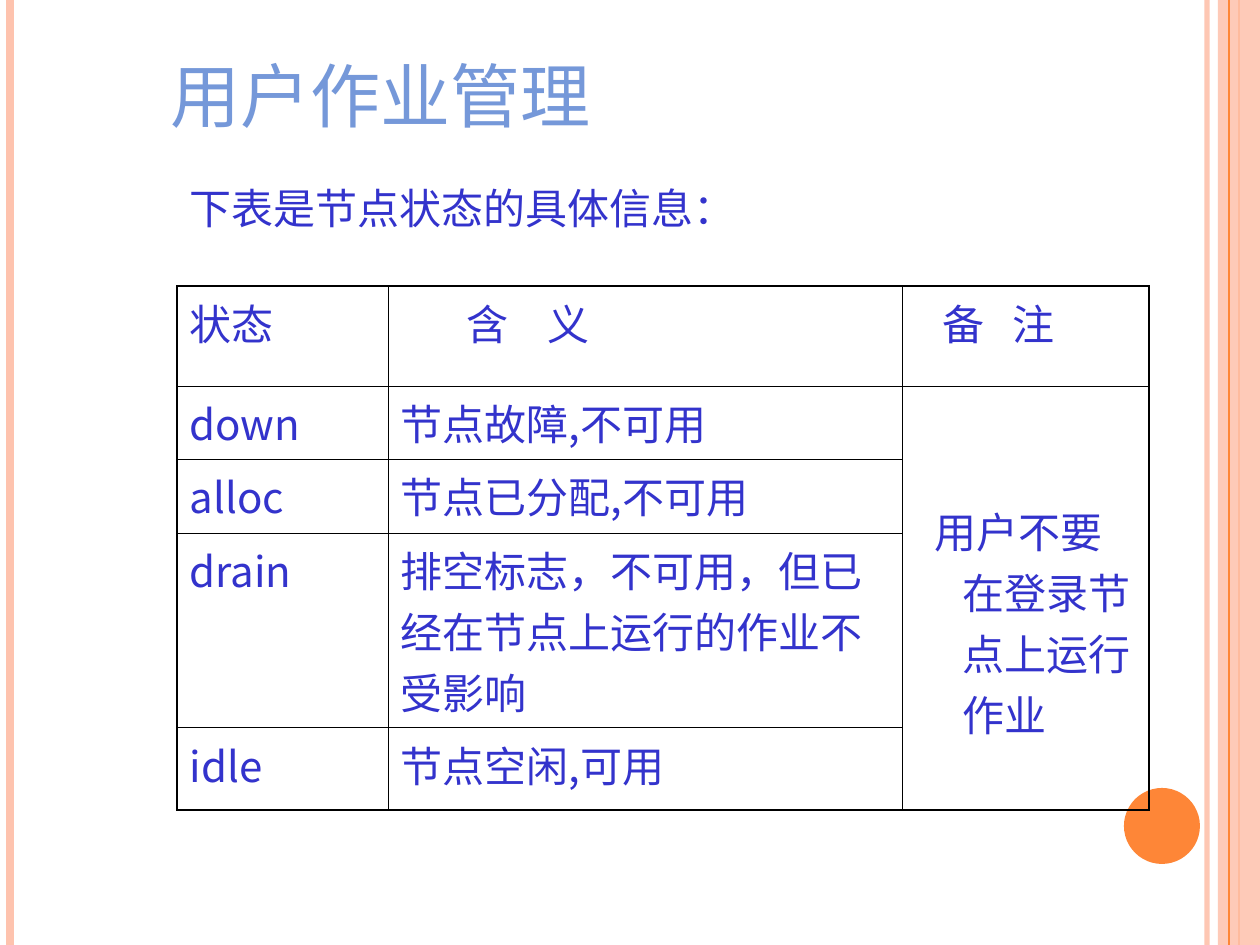
from lxml import etree
from pptx import Presentation
from pptx.dml.color import RGBColor
from pptx.enum.shapes import MSO_CONNECTOR, MSO_SHAPE
from pptx.enum.text import MSO_ANCHOR
from pptx.oxml.ns import qn
from pptx.util import Emu, Pt

STRAIGHT = MSO_CONNECTOR.STRAIGHT
RECT, OVAL = MSO_SHAPE.RECTANGLE, MSO_SHAPE.OVAL
TOP, BOTTOM = MSO_ANCHOR.TOP, MSO_ANCHOR.BOTTOM

CJK = "Noto Sans CJK SC"
ORANGE, PEACH, BLUE, TITLE_BLUE = "FE8637", "FEC3AE", "3333CC", "7598D9"


def px(n):
    return Emu(round(n * 914400 / 126))


def rgb(value):
    return RGBColor.from_string(value)


def add_alpha(fill_parent, percent):
    color = fill_parent.find(".//" + qn("a:srgbClr"))
    etree.SubElement(color, qn("a:alpha"), val=str(percent * 1000))


class Deck:
    size = 24
    font = CJK
    color = BLUE
    outer, inner = 0.96, 0.45

    def __init__(self, width, height):
        self.prs = Presentation()
        self.prs.slide_width, self.prs.slide_height = px(width), px(height)
        self.s = self.prs.slides.add_slide(self.prs.slide_layouts[6])

    def line(self, x, width, color, alpha=100):
        c = self.s.shapes.add_connector(STRAIGHT, px(x), 0, px(x), self.prs.slide_height)
        c.line.color.rgb = rgb(color)
        c.line.width = Pt(width)
        pr = c.line._get_or_add_ln().getparent()
        if alpha < 100:
            add_alpha(pr, alpha)
        etree.SubElement(pr, qn("a:effectLst"))

    def shape(self, kind, x, y, w, h, color, alpha=100):
        sp = self.s.shapes.add_shape(kind, px(x), px(y), px(w), px(h))
        sp.shadow.inherit = False
        sp.fill.solid()
        sp.fill.fore_color.rgb = rgb(color)
        sp.line.fill.background()
        if alpha < 100:
            add_alpha(sp._element.spPr, alpha)

    def run(self, p, text, size=None, font=None, color=None):
        r = p.add_run()
        r.text = text
        r.font.size = Pt(size or self.size)
        r.font.name = font or self.font
        r.font.color.rgb = rgb(color or self.color)
        etree.SubElement(r.font._element, qn("a:ea"), typeface=CJK)

    def text(self, x, y, w, h, text, anchor=TOP, **style):
        tf = self.s.shapes.add_textbox(px(x), px(y), px(w), px(h)).text_frame
        tf.word_wrap = True
        tf.vertical_anchor = anchor
        p = tf.paragraphs[0]
        self.run(p, text, **style)
        return p

    def table(self, x, y, cols, rows):
        t = self.s.shapes.add_table(len(rows), len(cols), px(x), px(y),
                                    px(sum(cols)), px(sum(rows))).table
        t.first_row = t.horz_banding = False
        for col, w in zip(t.columns, cols):
            col.width = px(w)
        for row, h in zip(t.rows, rows):
            row.height = px(h)
        return t

    def cell(self, cell, runs, margin=0, indent=0, top=6):
        cell.margin_top = px(top)
        p = cell.text_frame.paragraphs[0]
        pr = p._p.get_or_add_pPr()
        pr.set("marL", str(px(margin)))
        pr.set("indent", str(px(indent)))
        for text, size in runs:
            self.run(p, text, size)

    def borders(self, t):
        last_row, last_col = len(t.rows) - 1, len(t.columns) - 1
        for i, row in enumerate(t.rows):
            for j, cell in enumerate(row.cells):
                if cell.is_spanned:
                    continue
                bottom = i + (cell.span_height if cell.is_merge_origin else 1) - 1
                edges = {"L": j == 0, "R": j == last_col,
                         "T": i == 0, "B": bottom == last_row}
                pr = cell._tc.get_or_add_tcPr()
                for side, is_outer in edges.items():
                    width = Pt(self.outer if is_outer else self.inner)
                    ln = etree.SubElement(pr, qn("a:ln" + side), w=str(width))
                    fill = etree.SubElement(ln, qn("a:solidFill"))
                    etree.SubElement(fill, qn("a:srgbClr"), val="000000")
                cell.fill.background()


def main():
    d = Deck(1260, 945)

    d.line(1207, 3, PEACH, 92)
    d.line(10, 4.5, PEACH)
    d.line(1239, 1.5, ORANGE)
    d.shape(RECT, 1218, 0, 42, 945, PEACH, 87)
    d.line(1229, 0.75, ORANGE)
    d.shape(OVAL, 1124, 788, 76, 76, ORANGE)

    d.text(158, 59, 1040, 84, "用户作业管理", BOTTOM,
           size=40, font="TeX Gyre Schola", color=TITLE_BLUE)

    t = d.table(177, 286, [211, 514, 247], [100, 73, 74, 195, 82])
    t.cell(1, 2).merge(t.cell(4, 2))
    d.cell(t.cell(0, 0), [("状态", 24)])
    d.cell(t.cell(0, 1), [("含", 24), ("　", 22), ("义", 24)], margin=66)
    d.cell(t.cell(0, 2), [("备", 24), ("　", 16), ("注", 24)], margin=28)
    states = [
        ("down", "节点故障,不可用"),
        ("alloc", "节点已分配,不可用"),
        ("drain", "排空标志，不可用，但已经在节点上运行的作业不受影响"),
        ("idle", "节点空闲,可用"),
    ]
    for i, state in enumerate(states, 1):
        for j, text in enumerate(state):
            d.cell(t.cell(i, j), [(text, 24)])
    d.cell(t.cell(1, 2), [("用户不要在登录节点上运行作业", 24)],
           margin=48, indent=-28, top=114)
    d.borders(t)

    p = d.text(177, 186, 843, 53, "下表是节点状态的具体信息：", font="Times New Roman")
    p.line_spacing = 0.8
    p.space_before = Pt(6)

    d.prs.save("out.pptx")


if __name__ == "__main__":
    main()
